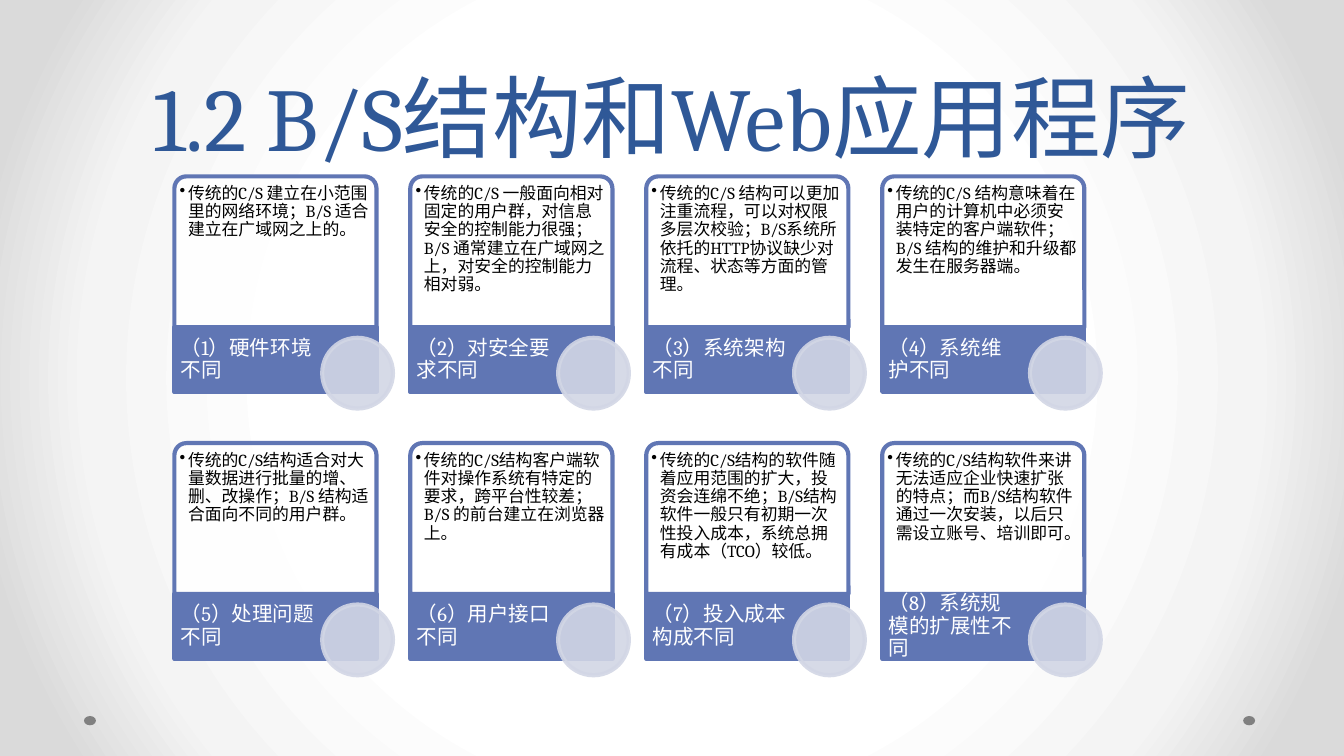
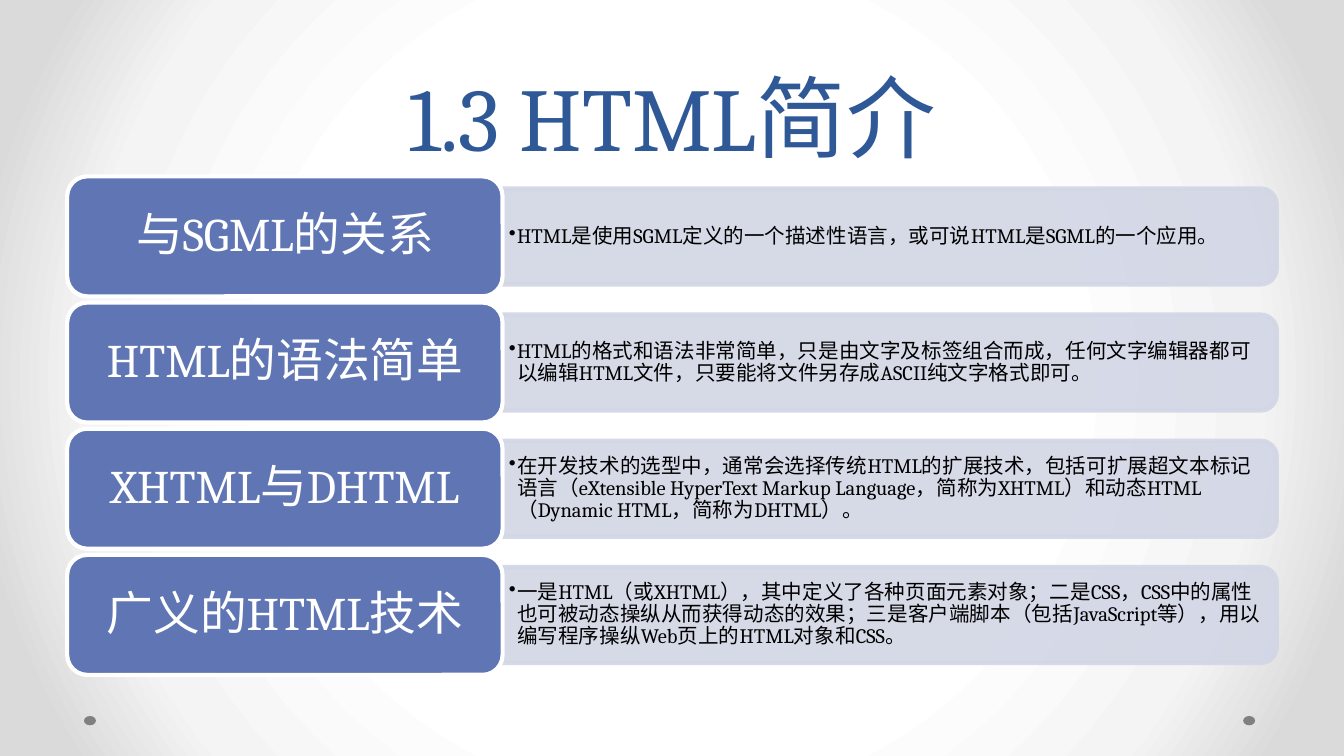
from pptx import Presentation
from pptx.dml.color import RGBColor
from pptx.enum.shapes import MSO_SHAPE as SHAPE
from pptx.enum.text import MSO_ANCHOR as ANCHOR, PP_ALIGN as ALIGN
from pptx.oxml import parse_xml
from pptx.oxml.ns import nsdecls, qn
from pptx.oxml.xmlchemy import OxmlElement
from pptx.util import Pt

FONT = "Cambria"
BLUE, NAVY, LILAC = "6076B4", "2F5897", "D2D6E5"
WHITE, BLACK, GRAY = "FFFFFF", "000000", "808080"
BACKDROP = [(50, WHITE), (76, "F4F4F4"), (92, "DADADA")]

DIFFERENCES = [
    ("（1）硬件环境不同",
     "传统的C/S 建立在小范围里的网络环境；B/S 适合建立在广域网之上的。"),
    ("（2）对安全要求不同",
     "传统的C/S 一般面向相对固定的用户群，对信息安全的控制能力很强；"
     "B/S 通常建立在广域网之上，对安全的控制能力相对弱。"),
    ("（3）系统架构不同",
     "传统的C/S 结构可以更加注重流程，可以对权限多层次校验；"
     "B/S系统所依托的HTTP协议缺少对流程、状态等方面的管理。"),
    ("（4）系统维护不同",
     "传统的C/S 结构意味着在用户的计算机中必须安装特定的客户端软件；"
     "B/S 结构的维护和升级都发生在服务器端。"),
    ("（5）处理问题不同",
     "传统的C/S结构适合对大量数据进行批量的增、删、改操作；B/S 结构适合面向不同的用户群。"),
    ("（6）用户接口不同",
     "传统的C/S结构客户端软件对操作系统有特定的要求，跨平台性较差；B/S 的前台建立在浏览器上。"),
    ("（7）投入成本构成不同",
     "传统的C/S结构的软件随着应用范围的扩大，投资会连绵不绝；"
     "B/S结构软件一般只有初期一次性投入成本，系统总拥有成本（TCO）较低。"),
    ("（8）系统规模的扩展性不同",
     "传统的C/S结构软件来讲无法适应企业快速扩张的特点；"
     "而B/S结构软件通过一次安装，以后只需设立账号、培训即可。"),
]

HTML_TOPICS = [
    ("与SGML的关系",
     "HTML是使用SGML定义的一个描述性语言，或可说HTML是SGML的一个应用。"),
    ("HTML的语法简单",
     "HTML的格式和语法非常简单，只是由文字及标签组合而成，"
     "任何文字编辑器都可以编辑HTML文件，只要能将文件另存成ASCII纯文字格式即可。"),
    ("XHTML与DHTML",
     "在开发技术的选型中，通常会选择传统HTML的扩展技术，"
     "包括可扩展超文本标记语言（eXtensible HyperText Markup Language，简称为XHTML）"
     "和动态HTML（Dynamic HTML，简称为DHTML）。"),
    ("广义的HTML技术",
     "一是HTML（或XHTML），其中定义了各种页面元素对象；"
     "二是CSS，CSS中的属性也可被动态操纵从而获得动态的效果；"
     "三是客户端脚本（包括JavaScript等），用以编写程序操纵Web页上的HTML对象和CSS。"),
]


def color(value):
    return RGBColor.from_string(value)


def fade(shape, target):
    """Make the colour found at the given place 90 % opaque."""
    alpha = OxmlElement("a:alpha")
    alpha.set("val", "90000")
    shape.element.spPr.find(target, {"a": nsdecls("a").split('"')[1]}).append(alpha)


def add_figure(page, kind, box, fill, line=None, faded_fill=False, faded_line=False):
    shape = page.shapes.add_shape(kind, *map(Pt, box))
    shape.shadow.inherit = False
    shape.fill.solid()
    shape.fill.fore_color.rgb = color(fill)
    if line:
        shape.line.color.rgb = color(line)
        shape.line.width = Pt(2.25)
    else:
        shape.line.fill.background()
    if faded_fill:
        fade(shape, "a:solidFill/a:srgbClr")
    if faded_line:
        fade(shape, "a:ln/a:solidFill/a:srgbClr")
    return shape


def add_text(page, box, text, size, ink, insets, anchor=ANCHOR.MIDDLE,
             align=ALIGN.LEFT, spacing=0.9, bullet=False):
    """Add one paragraph; insets run left, top, right, bottom."""
    frame = page.shapes.add_textbox(*map(Pt, box)).text_frame
    frame.word_wrap = True
    frame.vertical_anchor = anchor
    (frame.margin_left, frame.margin_top,
     frame.margin_right, frame.margin_bottom) = map(Pt, insets)
    para = frame.paragraphs[0]
    para.alignment = align
    para.line_spacing = spacing
    if bullet:
        props = para._p.get_or_add_pPr()
        props.set("marL", str(Pt(4.5)))
        props.set("indent", str(Pt(-4.5)))
        mark = OxmlElement("a:buChar")
        mark.set("char", "•")
        props.append(mark)
    span = para.add_run()
    span.text = text
    span.font.name = FONT
    span.font.size = Pt(size)
    span.font.color.rgb = color(ink)


def paint_backdrop(page):
    page.background.fill.gradient()
    stops = "".join(
        f'<a:gs pos="{place * 1000}"><a:srgbClr val="{tone}"/></a:gs>'
        for place, tone in BACKDROP)
    radial = parse_xml(
        f'<a:gradFill {nsdecls("a")} rotWithShape="1"><a:gsLst>{stops}</a:gsLst>'
        '<a:path path="circle"><a:fillToRect l="50000" t="50000" r="50000" b="50000"/>'
        '</a:path></a:gradFill>')
    plain = next(page.element.iter(qn("a:gradFill")))
    plain.getparent().replace(plain, radial)


def add_page(deck, title):
    """Start a slide with the shared backdrop, corner dots and title."""
    page = deck.slides.add_slide(deck.slide_layouts[6])
    paint_backdrop(page)
    for left in (666, 45):
        add_figure(page, SHAPE.OVAL, (left, 383.6, 6.4, 5), GRAY)
    add_text(page, (36, 0, 648, 94.5), title, 48, NAVY, (7.2, 3.6, 7.2, 3.6),
             ANCHOR.BOTTOM, ALIGN.CENTER, Pt(58))
    return page


def add_card(page, box, label, detail):
    left, top, width, height = box
    body = height * 0.7
    band = (left, top + body, width, height - body)
    frame = add_figure(page, SHAPE.ROUND_2_SAME_RECTANGLE, (left, top, width, body),
                       WHITE, BLUE, faded_fill=True)
    frame.adjustments[0] = 0.08
    add_text(page, (left + 1.9, top + 1.9, width - 3.8, body - 1.9), detail, 9, BLACK,
             (0.9, 2.7, 0.9, 0.9), ANCHOR.TOP, bullet=True)
    add_figure(page, SHAPE.RECTANGLE, band, BLUE, BLUE)
    add_text(page, (left, top + body, 76.2, height - body), label, 11, WHITE,
             (3.5, 0, 1.2, 0))
    add_figure(page, SHAPE.OVAL, (left + 79.2, top + body + 5.6, 37.9, 37.9),
               LILAC, LILAC, faded_fill=True, faded_line=True)


def add_card_grid(page, left, top, cards, columns=4):
    for index, (label, detail) in enumerate(cards):
        row, column = divmod(index, columns)
        box = (left + column * 126.4, top + row * 142.9, 108.3, 115.5)
        add_card(page, box, label, detail)


def add_topic_row(page, box, topic, detail):
    left, top, width, height = box
    head = width * 0.36
    panel_left, panel_width = left + head, width - head
    panel_top, panel_height = top + height * 0.1, height * 0.8
    # The panel is drawn upright, then turned so that its round corners face right.
    middle_x, middle_y = panel_left + panel_width / 2, top + height / 2
    upright = (middle_x - panel_height / 2, middle_y - panel_width / 2,
               panel_height, panel_width)
    panel = add_figure(page, SHAPE.ROUND_2_SAME_RECTANGLE, upright, LILAC, LILAC,
                       faded_fill=True, faded_line=True)
    panel.rotation = 90
    add_text(page, (panel_left, panel_top + 2.5, panel_width - 2.5, panel_height - 5),
             detail, 11, BLACK, (3.3, 1.65, 3.3, 1.65), bullet=True)
    add_figure(page, SHAPE.ROUNDED_RECTANGLE, (left, top, head, height), BLUE, WHITE)
    add_text(page, (left + 3.1, top + 3.1, head - 6.2, height - 6.2), topic, 25, WHITE,
             (7.5, 3.75, 7.5, 3.75), align=ALIGN.CENTER)


def add_topic_list(page, left, top, topics):
    for index, (topic, detail) in enumerate(topics):
        add_topic_row(page, (left, top + index * 67.6, 648, 64.3), topic, detail)


def main():
    deck = Presentation()
    deck.slide_width, deck.slide_height = Pt(720), Pt(405)
    add_card_grid(add_page(deck, "1.2 B/S结构和Web应用程序"), 93.4, 94.5, DIFFERENCES)
    add_topic_list(add_page(deck, "1.3 HTML简介"), 36, 94.5, HTML_TOPICS)
    deck.save("out.pptx")


if __name__ == "__main__":
    main()
